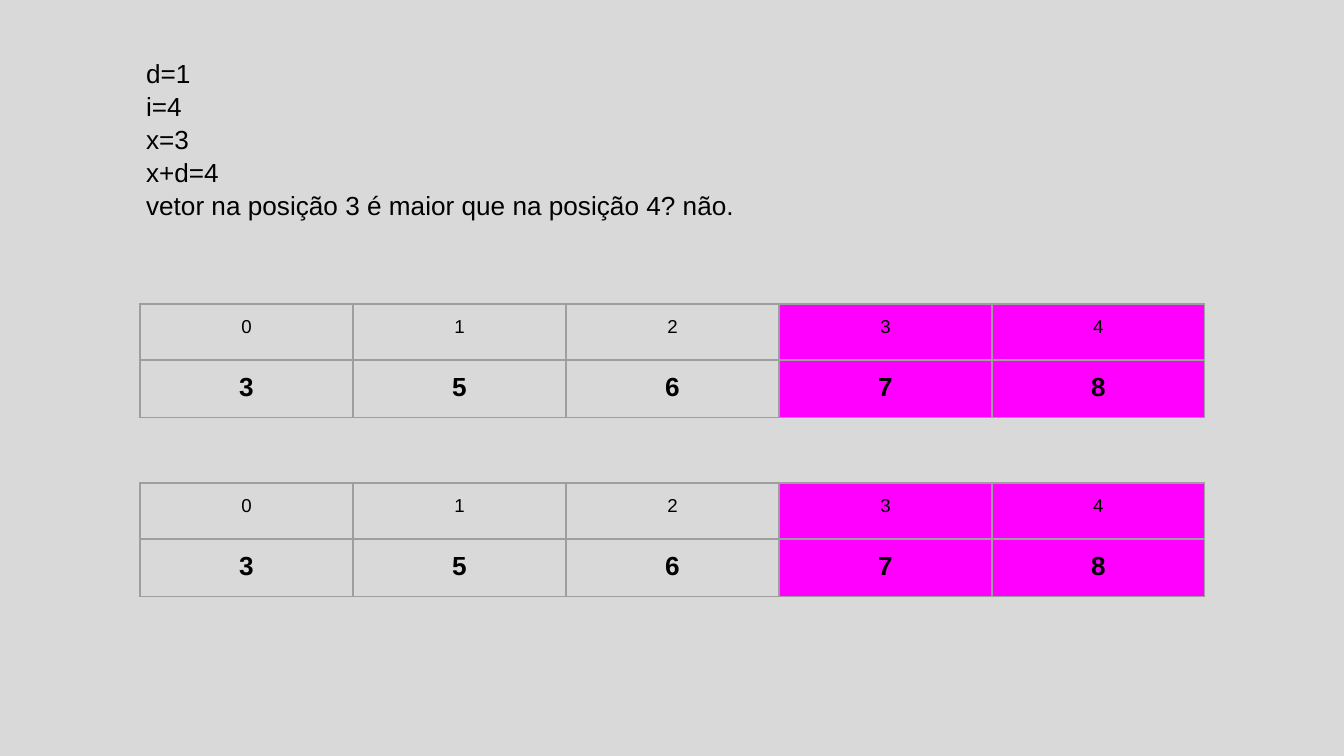
import pptx
import pptx.util
import pptx.dml.color
import pptx.enum.text
import lxml.etree

PX = 914400 / 134.4
BLACK = pptx.dml.color.RGBColor(0x00, 0x00, 0x00)
GREY = pptx.dml.color.RGBColor(0xD9, 0xD9, 0xD9)
PINK = pptx.dml.color.RGBColor(0xFF, 0x00, 0xFF)
EDGE = pptx.dml.color.RGBColor(0x9E, 0x9E, 0x9E)
NS = "http://schemas.openxmlformats.org/drawingml/2006/main"

STEPS = [
    "d=1",
    "i=4",
    "x=3",
    "x+d=4",
    "vetor na posição 3 é maior que na posição 4? não.",
]
ROWS = [
    (["0", "1", "2", "3", "4"], {"size": pptx.util.Pt(10), "bold": False}),
    (["3", "5", "6", "7", "8"], {"size": pptx.util.Pt(14), "bold": True}),
]
MARKED = (3, 4)
TOPS = (304, 483)
COL, ROW, PAD = 213, 56, 13


def emu(*px):
    return [pptx.util.Emu(round(n * PX)) for n in px]


def write(par, text, form):
    run = par.add_run()
    run.text = text
    run.font.color.rgb = BLACK
    for key, value in {"name": "Arial", **form}.items():
        setattr(run.font, key, value)


deck = pptx.Presentation()
deck.slide_width, deck.slide_height = emu(1344, 756)
slide = deck.slides.add_slide(deck.slide_layouts[6])
slide.background.fill.solid()
slide.background.fill.fore_color.rgb = GREY
pad, = emu(PAD)
inset = {"margin_" + side: pad for side in ("left", "top", "right", "bottom")}

# Trace of the current step
frame = slide.shapes.add_textbox(*emu(133, 43, 1078, 126)).text_frame
frame.word_wrap = True
for key, value in inset.items():
    setattr(frame, key, value)
for n, step in enumerate(STEPS):
    par = frame.add_paragraph() if n else frame.paragraphs[0]
    par.line_spacing = 1.05
    write(par, step, {"size": pptx.util.Pt(14)})

# The array before and after the step: indexes above values
for top in TOPS:
    box = emu(140, top, COL * 5, ROW * 2)
    table = slide.shapes.add_table(2, 5, *box).table
    table.first_row = table.horz_banding = False
    for r, (texts, form) in enumerate(ROWS):
        for c, text in enumerate(texts):
            cell = table.cell(r, c)
            for key, value in inset.items():
                setattr(cell, key, value)
            if c in MARKED:
                cell.fill.solid()
                cell.fill.fore_color.rgb = PINK
            else:
                cell.fill.background()
            par = cell.text_frame.paragraphs[0]
            par.alignment = pptx.enum.text.PP_ALIGN.CENTER
            write(par, text, form)
            props = cell._tc.get_or_add_tcPr()
            for n, side in enumerate("LRTB"):
                line = lxml.etree.fromstring(
                    f'<a:ln{side} xmlns:a="{NS}" w="{pptx.util.Pt(0.75)}">'
                    f'<a:solidFill><a:srgbClr val="{EDGE}"/></a:solidFill>'
                    f'</a:ln{side}>')
                props.insert(n, line)

deck.save("out.pptx")
